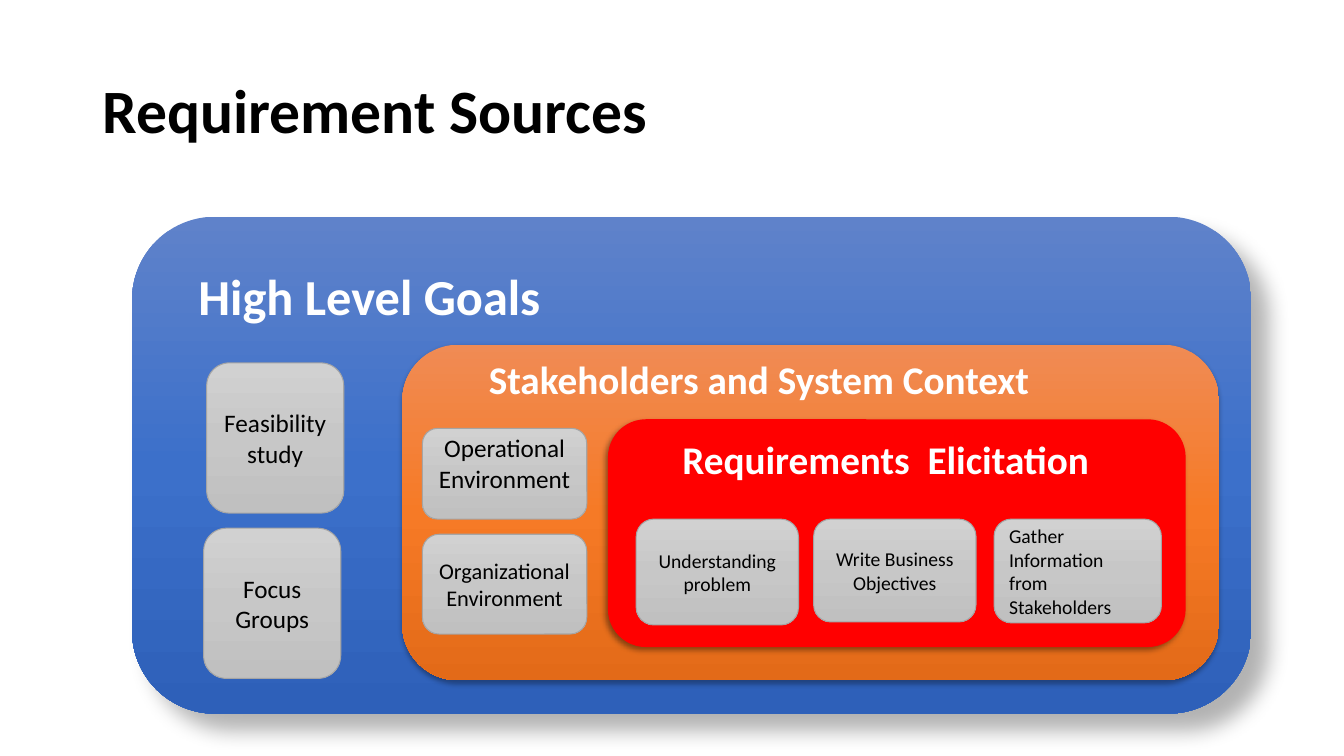
from copy import deepcopy

from lxml import etree
from pptx import Presentation
from pptx.dml.color import RGBColor
from pptx.enum.shapes import MSO_SHAPE as Shape
from pptx.enum.text import MSO_ANCHOR as Anchor, PP_ALIGN as Align
from pptx.oxml.ns import qn
from pptx.util import Inches, Pt

THEME = {
    "font": "Calibri",
    "black": "000000",
    "white": "FFFFFF",
    "goals": ("5F82CA", "3C70CA", "2E60B9"),
    "context": ("F08B54", "F67A26", "E36A18"),
    "elicitation": ("FF0000",),
    "card": ("D1D1D1", "C7C7C7", "C0C0C0"),
    "card_line": "A5A5A5",
    "title": 44, "heading": 36, "subheading": 28,
    "large": 18, "medium": 16, "small": 14,
}

# Lengths are left, top, width, height in inches.
TITLE = ("Requirement Sources", (0.92, 0.4, 11.5, 1.45))

# Shadow: opacity %, blur pt, distance pt, direction in degrees.
# Cards: lines of text, place, type size, alignment, anchor.
LAYERS = [
    {
        "colours": "goals", "at": (1.31, 2.15, 11.1, 4.93), "shadow": (30, 15, 18, 45),
        "heading": ("High Level Goals", (1.87, 2.58, 6.05, 0.71), "heading"),
        "cards": [
            (["Feasibility", "study"], (2.05, 3.6, 1.36, 1.49), "large", Align.CENTER, Anchor.MIDDLE),
            (["Focus Groups"], (2.02, 5.24, 1.36, 1.49), "large", Align.CENTER, Anchor.MIDDLE),
        ],
    },
    {
        "colours": "context", "at": (3.99, 3.42, 8.1, 3.33), "shadow": (32, 3.5, 2.2, 90),
        "heading": ("Stakeholders and System Context", (4.75, 3.48, 6.1, 0.57), "subheading"),
        "cards": [
            (["Operational Environment"], (4.19, 4.25, 1.63, 0.9), "large", Align.CENTER, Anchor.TOP),
            (["Organizational", "Environment"], (4.19, 5.3, 1.63, 0.99), "medium", Align.CENTER, Anchor.MIDDLE),
        ],
    },
    {
        "colours": "elicitation", "at": (6.03, 4.16, 5.73, 2.26), "shadow": (40, 4, 3, 135),
        "heading": ("Requirements  Elicitation", (6.67, 4.27, 4.66, 0.57), "subheading"),
        "cards": [
            (["Understanding problem"], (6.31, 5.15, 1.61, 1.05), "small", Align.CENTER, Anchor.MIDDLE),
            (["Write Business Objectives"], (8.07, 5.15, 1.61, 1.02), "small", Align.CENTER, Anchor.MIDDLE),
            (["Gather Information from Stakeholders"], (9.86, 5.15, 1.66, 1.03), "small", Align.LEFT, Anchor.MIDDLE),
        ],
    },
]


def rgb(colour):
    return RGBColor.from_string(colour)


def paint(shape, colours):
    """Fill with one colour, or with a gradient running from top to bottom."""
    fill = shape.fill
    if len(colours) == 1:
        fill.solid()
        fill.fore_color.rgb = rgb(colours[0])
        return
    fill.gradient()
    fill.gradient_angle = 270
    stop_list = shape.element.spPr.find(".//" + qn("a:gsLst"))
    stop_list.append(deepcopy(stop_list[-1]))
    for index, (stop, colour) in enumerate(zip(fill.gradient_stops, colours)):
        stop.position = index / (len(colours) - 1)
        stop.color.rgb = rgb(colour)


def cast_shadow(shape, opacity, blur, distance, direction):
    effects = shape.element.spPr.find(qn("a:effectLst"))
    shadow = etree.SubElement(
        effects, qn("a:outerShdw"), blurRad=str(Pt(blur)), dist=str(Pt(distance)),
        dir=str(direction * 60000), algn="ctr", rotWithShape="0")
    colour = etree.SubElement(shadow, qn("a:srgbClr"), val=THEME["black"])
    etree.SubElement(colour, qn("a:alpha"), val=str(opacity * 1000))


def add_panel(page, at, colours):
    panel = page.shapes.add_shape(Shape.ROUNDED_RECTANGLE, *map(Inches, at))
    panel.shadow.inherit = False
    paint(panel, THEME[colours])
    panel.line.fill.background()
    return panel


def write(frame, lines, size, colour, bold=False, align=Align.LEFT, anchor=Anchor.TOP):
    frame.word_wrap = True
    frame.vertical_anchor = anchor
    for index, line in enumerate(lines):
        para = frame.add_paragraph() if index else frame.paragraphs[0]
        para.alignment = align
        span = para.add_run()
        span.text = line
        span.font.name = THEME["font"]
        span.font.size = Pt(THEME[size])
        span.font.bold = bold
        span.font.color.rgb = rgb(THEME[colour])


def add_heading(page, text, at, size, colour="white", anchor=Anchor.TOP):
    box = page.shapes.add_textbox(*map(Inches, at))
    write(box.text_frame, [text], size, colour, bold=True, anchor=anchor)
    return box


def add_card(page, lines, at, size, align, anchor):
    card = add_panel(page, at, "card")
    card.line.color.rgb = rgb(THEME["card_line"])
    card.line.width = Pt(0.75)
    write(card.text_frame, lines, size, "black", align=align, anchor=anchor)
    if anchor == Anchor.TOP:
        card.text_frame.margin_top = 0


def main():
    deck = Presentation()
    deck.slide_width, deck.slide_height = Inches(13.33), Inches(7.5)
    page = deck.slides.add_slide(deck.slide_layouts[6])

    title = add_heading(page, *TITLE, "title", "black", Anchor.MIDDLE)
    title.text_frame.paragraphs[0].line_spacing = 0.9
    for layer in LAYERS:
        panel = add_panel(page, layer["at"], layer["colours"])
        cast_shadow(panel, *layer["shadow"])
        add_heading(page, *layer["heading"])
        for card in layer["cards"]:
            add_card(page, *card)

    deck.save("out.pptx")


if __name__ == "__main__":
    main()
